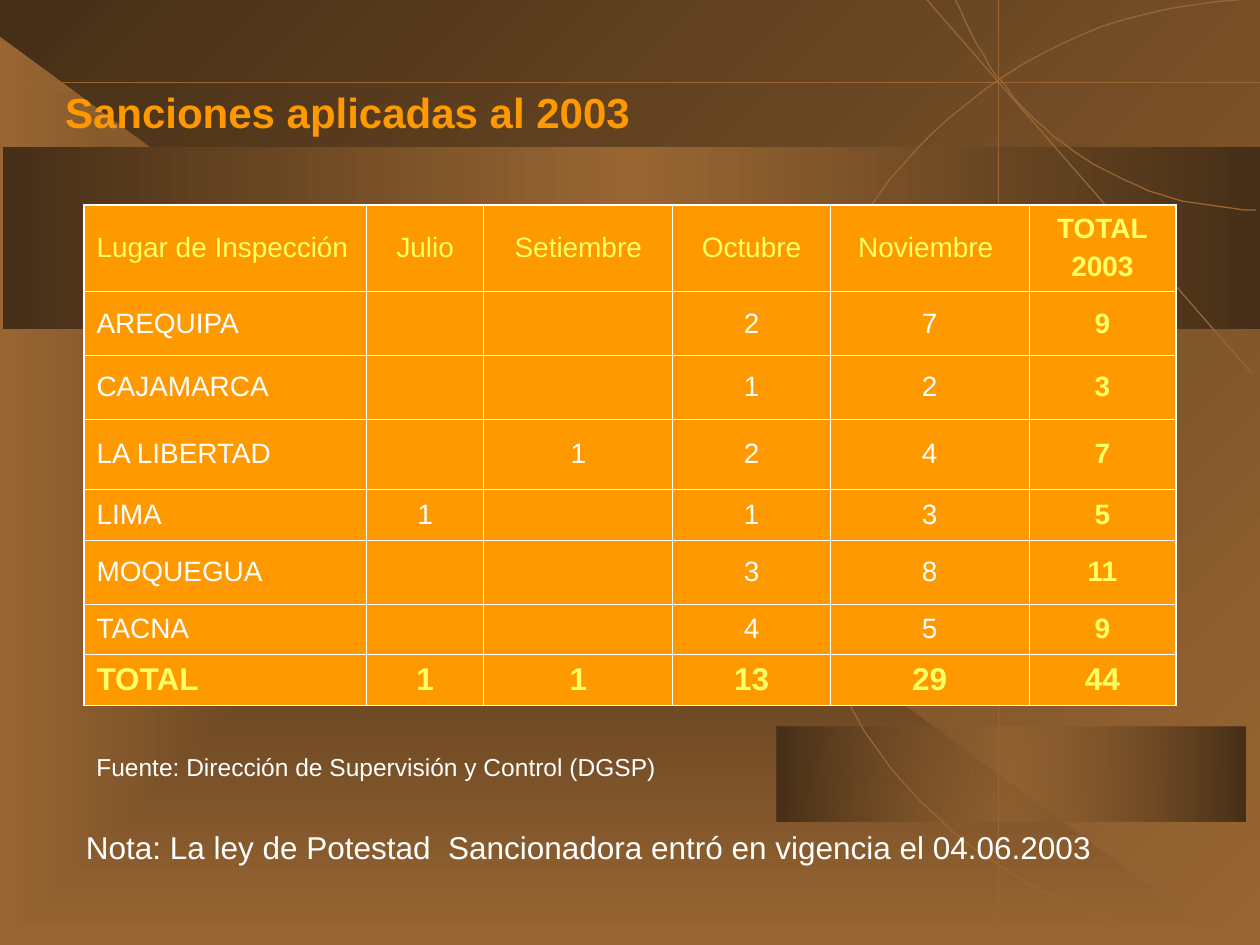
import pptx
import pptx.util
import pptx.dml.color
import pptx.enum.shapes
import pptx.enum.text
import pptx.oxml
import pptx.oxml.ns

Pt = pptx.util.Pt
RGB = pptx.dml.color.RGBColor
SHAPE = pptx.enum.shapes.MSO_SHAPE
ALIGN = pptx.enum.text.PP_ALIGN
ANCHOR = pptx.enum.text.MSO_ANCHOR
qn = pptx.oxml.ns.qn
NS = pptx.oxml.ns.nsdecls("a")

BROWN = RGB(0x99, 0x66, 0x33)
DARK = RGB(0x46, 0x2F, 0x17)
ORANGE = RGB(0xFF, 0x99, 0x00)
YELLOW = RGB(0xFF, 0xFF, 0x66)
WHITE = RGB(0xFF, 0xFF, 0xFF)
FONT = "Arial"

COL_WIDTHS = [161.5, 67, 108, 90, 113.5, 84]
ROW_HEIGHTS = [49.5, 36.5, 36.5, 40, 29, 36.5, 29, 29]
ROWS = [
    ["Lugar de Inspección", "Julio", "Setiembre", "Octubre", "Noviembre ", "TOTAL\n2003"],
    ["AREQUIPA", "", "", "2", "7", "9"],
    ["CAJAMARCA", "", "", "1", "2", "3"],
    ["LA LIBERTAD", "", "1", "2", "4", "7"],
    ["LIMA", "1", "", "1", "3", "5"],
    ["MOQUEGUA", "", "", "3", "8", "11"],
    ["TACNA", "", "", "4", "5", "9"],
    ["TOTAL", "1", "1", "13", "29", "44"],
]


def set_gradient(fill, parent, stops, direction):
    """Give parent a gradient of (percent, colour, opacity) stops."""
    fill.solid()
    gs = "".join(
        f'<a:gs pos="{pos * 1000}"><a:srgbClr val="{color}">'
        f'<a:alpha val="{alpha * 1000}"/></a:srgbClr></a:gs>'
        for pos, color, alpha in stops)
    grad = pptx.oxml.parse_xml(
        f'<a:gradFill {NS} rotWithShape="1"><a:gsLst>{gs}</a:gsLst>{direction}</a:gradFill>')
    parent.replace(parent.find(qn("a:solidFill")), grad)


def linear(angle):
    return f'<a:lin ang="{angle * 60000}" scaled="0"/>'


def add_gradient_shape(slide, kind, box, stops, direction):
    sp = slide.shapes.add_shape(kind, *[Pt(v) for v in box])
    sp.shadow.inherit = False
    sp.line.fill.background()
    set_gradient(sp.fill, sp._element.spPr, stops, direction)


def bezier(p0, p1, p2, p3, steps=32):
    """Points along a cubic curve, without its start."""
    points = []
    for i in range(1, steps + 1):
        t = i / steps
        u = 1 - t
        points.append(tuple(u**3 * a + 3 * u * u * t * b + 3 * u * t * t * c + t**3 * d
                            for a, b, c, d in zip(p0, p1, p2, p3)))
    return points


def add_arc(slide, *curves):
    start = curves[0][0]
    points = [pt for curve in curves for pt in bezier(*curve)]
    builder = slide.shapes.build_freeform(*start, scale=float(Pt(1)))
    builder.add_line_segments(points, close=False)
    sp = builder.convert_to_shape()
    sp.shadow.inherit = False
    sp.fill.background()
    sp.line.color.rgb = BROWN
    sp.line.width = Pt(0.75)


def add_line(slide, *ends):
    line = slide.shapes.add_connector(
        pptx.enum.shapes.MSO_CONNECTOR.STRAIGHT, *[Pt(v) for v in ends])
    line.line.color.rgb = BROWN
    line.line.width = Pt(0.75)
    line._element.spPr.append(pptx.oxml.parse_xml(f"<a:effectLst {NS}/>"))


def add_run(p, text, size, color, bold=False):
    r = p.add_run()
    r.text = text
    r.font.name = FONT
    r.font.size = Pt(size)
    r.font.bold = bold
    r.font.color.rgb = color


def add_text(slide, box, text, size):
    tf = slide.shapes.add_textbox(*[Pt(v) for v in box]).text_frame
    tf.word_wrap = True
    tf.auto_size = pptx.enum.text.MSO_AUTO_SIZE.SHAPE_TO_FIT_TEXT
    add_run(tf.paragraphs[0], text, size, WHITE)


def add_title(slide, text):
    title = slide.shapes.title
    title.left, title.top, title.width, title.height = Pt(30), Pt(43), Pt(618), Pt(42)
    tf = title.text_frame
    tf.vertical_anchor = ANCHOR.MIDDLE
    p = tf.paragraphs[0]
    p.alignment = ALIGN.LEFT
    add_run(p, text, 24, ORANGE, True)


def set_borders(cell, outer):
    """Draw the four sides, thicker where the side is on the table's edge."""
    tcPr = cell._tc.get_or_add_tcPr()
    for i, side in enumerate("LRTB"):
        width = Pt(1.08 if side in outer else 0.45)
        tcPr.insert(i, pptx.oxml.parse_xml(
            f'<a:ln{side} {NS} w="{width}"><a:solidFill><a:srgbClr val="{WHITE}"/>'
            f'</a:solidFill></a:ln{side}>'))


def fill_cell(cell, text, row, col):
    last_row, last_col = row == len(ROWS) - 1, col == len(COL_WIDTHS) - 1
    cell.fill.solid()
    cell.fill.fore_color.rgb = ORANGE
    cell.vertical_anchor = ANCHOR.MIDDLE
    set_borders(cell, "L" * (col == 0) + "R" * last_col + "T" * (row == 0) + "B" * last_row)
    if not text:
        return
    color = YELLOW if row == 0 or last_row or last_col else WHITE
    tf = cell.text_frame
    for i, line in enumerate(text.split("\n")):
        p = tf.add_paragraph() if i else tf.paragraphs[0]
        p.alignment = ALIGN.CENTER if col else ALIGN.LEFT
        if i:
            p.space_before = Pt(4)
        add_run(p, line, 18 if last_row else 16, color, last_row or last_col)


def add_sanctions_table(slide):
    table = slide.shapes.add_table(
        len(ROWS), len(COL_WIDTHS), Pt(48), Pt(117),
        Pt(sum(COL_WIDTHS)), Pt(sum(ROW_HEIGHTS))).table
    table.first_row = table.horz_banding = False
    for column, width in zip(table.columns, COL_WIDTHS):
        column.width = Pt(width)
    for r, (height, texts) in enumerate(zip(ROW_HEIGHTS, ROWS)):
        table.rows[r].height = Pt(height)
        for c, text in enumerate(texts):
            fill_cell(table.cell(r, c), text, r, c)


def add_backdrop(slide):
    fill = slide.background.fill
    fill.solid()
    bgPr = slide._element.find(".//" + qn("p:bgPr"))
    set_gradient(fill, bgPr, [(0, BROWN, 100), (100, DARK, 100)], linear(225))
    # Triangle and bands
    add_gradient_shape(
        slide, SHAPE.RIGHT_TRIANGLE, (0, 21, 702, 519), [(0, DARK, 100), (100, BROWN, 100)],
        '<a:path path="rect"><a:fillToRect l="50000" t="50000" r="50000" b="50000"/></a:path>')
    for box, opacity in (((444, 415, 267.5, 54.5), 50), ((1.5, 84, 718.5, 104), 100)):
        add_gradient_shape(slide, SHAPE.RECTANGLE, box,
                           [(0, DARK, 100), (50, BROWN, opacity), (100, DARK, 100)], linear(180))
    # Arcs and crossing lines
    add_arc(slide, ((708, 0), (563, 7), (450, 127), (450, 271.5)),
            ((450, 271.5), (451, 415.5), (565, 534), (710, 540)))
    add_arc(slide, ((546, -0.5), (573, 71), (641.5, 119), (718, 120)))
    add_line(slide, 715, 213, 528.5, -1.5)
    add_line(slide, 570.5, -0.5, 570.5, 536)
    add_line(slide, 0, 47, 720, 47)


def main():
    prs = pptx.Presentation()
    prs.slide_width, prs.slide_height = Pt(720), Pt(540)
    slide = prs.slides.add_slide(prs.slide_layouts[5])
    add_backdrop(slide)
    # Title goes in front of the backdrop
    slide.shapes._spTree.append(slide.shapes.title._element)
    add_title(slide, "Sanciones aplicadas al 2003")
    add_text(slide, (48, 426, 534, 24.5),
             "Fuente: Dirección de Supervisión y Control (DGSP)", 14)
    add_sanctions_table(slide)
    add_text(slide, (42, 469.5, 624, 29),
             "Nota: La ley de Potestad  Sancionadora entró en vigencia el 04.06.2003", 18)
    prs.save("out.pptx")


if __name__ == "__main__":
    main()
